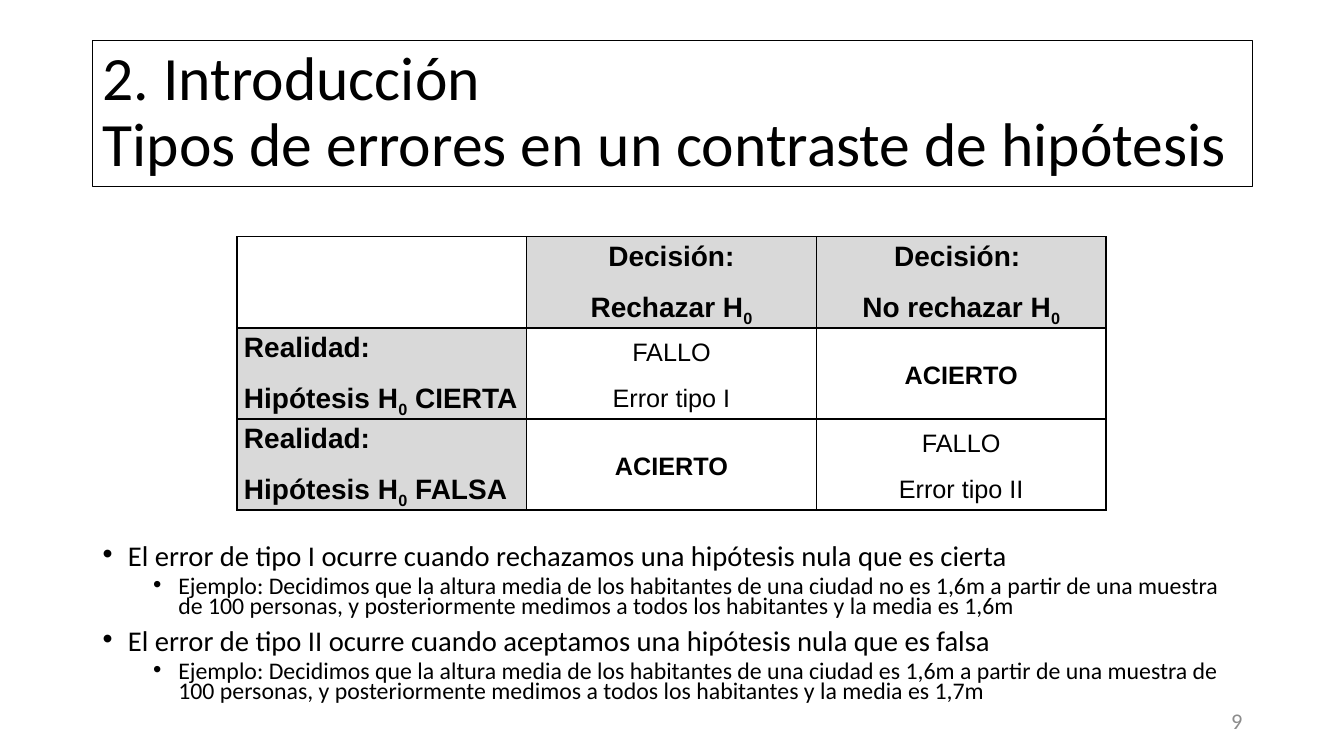
from lxml import etree
from pptx import Presentation
from pptx import util as u
from pptx.dml.color import RGBColor
from pptx.enum import shapes, text
from pptx.oxml import ns

COLORS = {"ink": "000000", "header": "D9D9D9", "number": "8C8C8C"}
ALIGN = text.PP_ALIGN
MIDDLE = text.MSO_ANCHOR.MIDDLE


def write(paragraph, content, size, font="Calibri", color="ink", bold=False,
          align=ALIGN.LEFT, line=1.0, before=0, after=0, indent=None):
    """Fill a paragraph; _0 gives a subscript zero and a newline a line break."""
    if indent is not None:
        props = paragraph._p.get_or_add_pPr()
        props.set("marL", str(u.Inches(indent)))
        props.set("indent", str(u.Inches(-0.25)))
        etree.SubElement(props, ns.qn("a:buFont")).set("typeface", "Arial")
        etree.SubElement(props, ns.qn("a:buChar")).set("char", "•")
    paragraph.alignment = align
    paragraph.line_spacing = line
    paragraph.space_before, paragraph.space_after = u.Pt(before), u.Pt(after)
    for row, row_text in enumerate(content.split("\n")):
        if row:
            paragraph.add_line_break()
        for piece in row_text.replace("_0", "|_0|").split("|"):
            if not piece:
                continue
            run = paragraph.add_run()
            run.text = piece.lstrip("_")
            run.font.size, run.font.name, run.font.bold = u.Pt(size), font, bold
            run.font.color.rgb = RGBColor.from_string(COLORS[color])
            if piece == "_0":
                run.font._element.set("baseline", "-25000")


def border(cell):
    """Draw a thin line on all four sides of a cell."""
    props = cell._tc.get_or_add_tcPr()
    for place, side in enumerate(("lnL", "lnR", "lnT", "lnB")):
        edge = etree.Element(ns.qn(f"a:{side}"), w=str(u.Pt(1)))
        fill = etree.SubElement(edge, ns.qn("a:solidFill"))
        etree.SubElement(fill, ns.qn("a:srgbClr")).set("val", COLORS["ink"])
        props.insert(place, edge)


deck = Presentation()
deck.slide_width, deck.slide_height = u.Inches(13.33), u.Inches(7.5)
slide = deck.slides.add_slide(deck.slide_layouts[6])

# Framed title
title = slide.shapes.add_shape(shapes.MSO_SHAPE.RECTANGLE, u.Inches(0.92),
                               u.Inches(0.4), u.Inches(11.5), u.Inches(1.45))
title.shadow.inherit = False
title.fill.background()
title.line.color.rgb = RGBColor.from_string(COLORS["ink"])
title.line.width = u.Pt(0.75)
title.text_frame.word_wrap = True
title.text_frame.vertical_anchor = MIDDLE
write(title.text_frame.paragraphs[0],
      "2. Introducción\nTipos de errores en un contraste de hipótesis",
      size=44, line=0.9)

# Decision table: headers in the first row and column, outcomes inside
decisions = [
    [[], ["Decisión:", "Rechazar H_0"], ["Decisión: ", "No rechazar H_0"]],
    [["Realidad:", "Hipótesis H_0 CIERTA"], ["FALLO", "Error tipo I"], ["ACIERTO"]],
    [["Realidad:", "Hipótesis H_0 FALSA"], ["ACIERTO"], ["FALLO", "Error tipo II"]],
]
table = slide.shapes.add_table(3, 3, u.Inches(2.35), u.Inches(2.35),
                               u.Inches(8.62), u.Inches(2.7)).table
for r, outcomes in enumerate(decisions):
    for c, lines in enumerate(outcomes):
        cell = table.cell(r, c)
        header = bool(lines) and (r == 0 or c == 0)
        if header:
            cell.fill.solid()
            cell.fill.fore_color.rgb = RGBColor.from_string(COLORS["header"])
        else:
            cell.fill.background()
        border(cell)
        cell.margin_left = cell.margin_right = u.Inches(0.07)
        cell.margin_top = cell.margin_bottom = 0
        cell.vertical_anchor = MIDDLE if c else text.MSO_ANCHOR.TOP
        for i, line_text in enumerate(lines):
            frame = cell.text_frame
            write(frame.paragraphs[0] if i == 0 else frame.add_paragraph(), line_text,
                  size=20 if header else 18, font="Arial",
                  bold=header or line_text == "ACIERTO",
                  align=ALIGN.CENTER if c else ALIGN.LEFT, line=1.15, after=10)

# Explanation of both error types, each with an example
explanations = [
    (0, "El error de tipo I ocurre cuando rechazamos una hipótesis nula que es cierta"),
    (1, "Ejemplo: Decidimos que la altura media de los habitantes de una ciudad no es "
        "1,6m a partir de una muestra de 100 personas, y posteriormente medimos a "
        "todos los habitantes y la media es 1,6m"),
    (0, "El error de tipo II ocurre cuando aceptamos una hipótesis nula que es falsa"),
    (1, "Ejemplo: Decidimos que la altura media de los habitantes de una ciudad es "
        "1,6m a partir de una muestra de 100 personas, y posteriormente medimos a "
        "todos los habitantes y la media es 1,7m"),
]
body = slide.shapes.add_textbox(u.Inches(0.92), u.Inches(5.38),
                                u.Inches(11.5), u.Inches(1.72)).text_frame
body.word_wrap = True
for i, (level, sentence) in enumerate(explanations):
    paragraph = body.add_paragraph() if i else body.paragraphs[0]
    paragraph.level = level
    write(paragraph, sentence, size=17 if level else 20.4, line=0.7,
          before=0 if i == 0 else 5 if level else 10, indent=0.25 + 0.5 * level)

# Slide number
number = slide.shapes.add_textbox(u.Inches(9.42), u.Inches(6.95),
                                  u.Inches(3), u.Inches(0.4)).text_frame
number.word_wrap = True
number.vertical_anchor = MIDDLE
write(number.paragraphs[0], "9", size=16, color="number", align=ALIGN.RIGHT)

deck.save("out.pptx")
